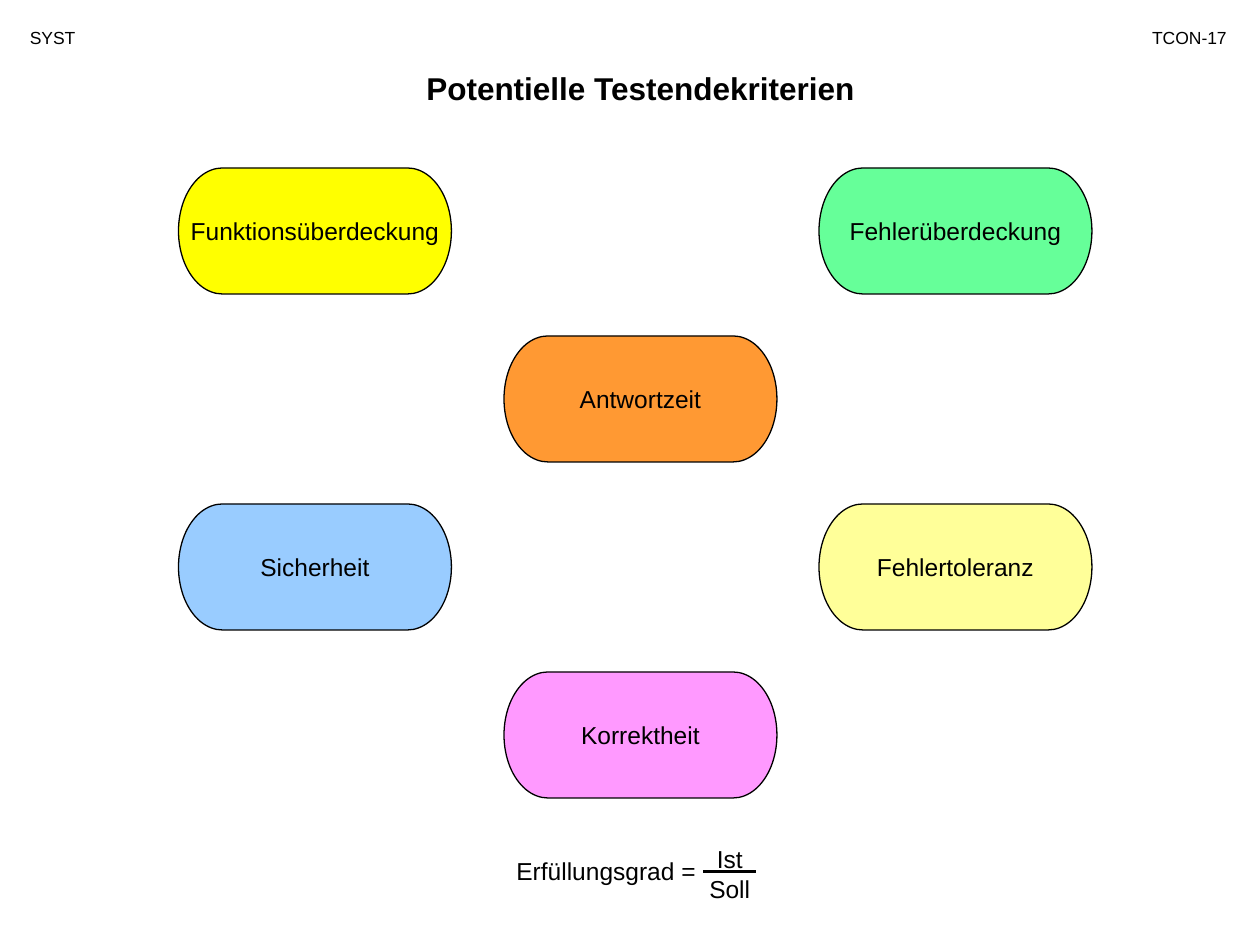
"""Build the slide on potential test end criteria."""
from lxml import etree
from pptx import Presentation
from pptx.dml.color import RGBColor
from pptx.enum import shapes, text
from pptx.oxml import ns
from pptx.util import Pt

FONT, BLACK = "Arial", "000000"
LEFT, CENTER, RIGHT = text.PP_ALIGN.LEFT, text.PP_ALIGN.CENTER, text.PP_ALIGN.RIGHT

LABELS = [
    ("Potentielle Testendekriterien", (102, 36, 528, 29), 18, True, CENTER),
    ("SYST", (10, 12, 81, 19.5), 10, False, LEFT),
    ("TCON-17", (634, 12, 74, 19.5), 10, False, RIGHT),
    ("Erfüllungsgrad =", (288, 485.5, 132, 24.5), 14, False, LEFT),
    ("Ist\vSoll", (390, 479, 54, 41), 14, False, CENTER),
]
FRACTION_BAR = (402, 498, 432, 498)

CRITERIA = [
    ("Antwortzeit", 1, 1, "FF9933"),
    ("Fehlerüberdeckung", 2, 0, "66FF99"),
    ("Funktionsüberdeckung", 0, 0, "FFFF00"),
    ("Sicherheit", 0, 2, "99CCFF"),
    ("Korrektheit", 1, 3, "FF99FF"),
    ("Fehlertoleranz", 2, 2, "FFFF99"),
]
COLUMNS = (102, 288, 468)
TOP, ROW_STEP = 96, 96
NODE_WIDTH, NODE_HEIGHT = 156, 72


def color(value):
    """Return the colour for a hex string."""
    return RGBColor.from_string(value)


def points(values):
    """Convert numbers to lengths in points."""
    return [Pt(value) for value in values]


def write(shape, content, size, bold, align, wrap):
    """Put formatted text into a shape."""
    frame = shape.text_frame
    frame.text = content
    frame.word_wrap = wrap
    paragraph = frame.paragraphs[0]
    paragraph.alignment = align
    for run in paragraph.runs:
        run.font.name, run.font.size, run.font.bold = FONT, Pt(size), bold
        run.font.color.rgb = color(BLACK)
    for line_break in paragraph._p.findall(ns.qn("a:br")):
        etree.SubElement(line_break, ns.qn("a:rPr"), sz=str(size * 100))


def add_label(slide, content, box, size, bold, align):
    """Add a text box."""
    write(slide.shapes.add_textbox(*points(box)), content, size, bold, align, True)


def add_criterion(slide, name, column, row, fill):
    """Add one criterion at its grid position."""
    box = (COLUMNS[column], TOP + row * ROW_STEP, NODE_WIDTH, NODE_HEIGHT)
    shape = slide.shapes.add_shape(shapes.MSO_SHAPE.FLOWCHART_TERMINATOR, *points(box))
    shape.shadow.inherit = False
    shape.fill.solid()
    shape.fill.fore_color.rgb = color(fill)
    shape.line.color.rgb = color(BLACK)
    shape.line.width = Pt(0.75)
    shape.text_frame.vertical_anchor = text.MSO_ANCHOR.MIDDLE
    write(shape, name, 14, False, CENTER, False)


def add_fraction_bar(slide):
    """Add the line between numerator and denominator."""
    bar = slide.shapes.add_connector(shapes.MSO_CONNECTOR.STRAIGHT, *points(FRACTION_BAR))
    bar.line.color.rgb = color(BLACK)
    bar.line.width = Pt(2.25)
    etree.SubElement(bar._element.spPr, ns.qn("a:effectLst"))


def main():
    """Create and save the presentation."""
    presentation = Presentation()
    presentation.slide_width, presentation.slide_height = Pt(720), Pt(540)
    slide = presentation.slides.add_slide(presentation.slide_layouts[6])
    for label in LABELS:
        add_label(slide, *label)
    for criterion in CRITERIA:
        add_criterion(slide, *criterion)
    add_fraction_bar(slide)
    presentation.save("out.pptx")


if __name__ == "__main__":
    main()
